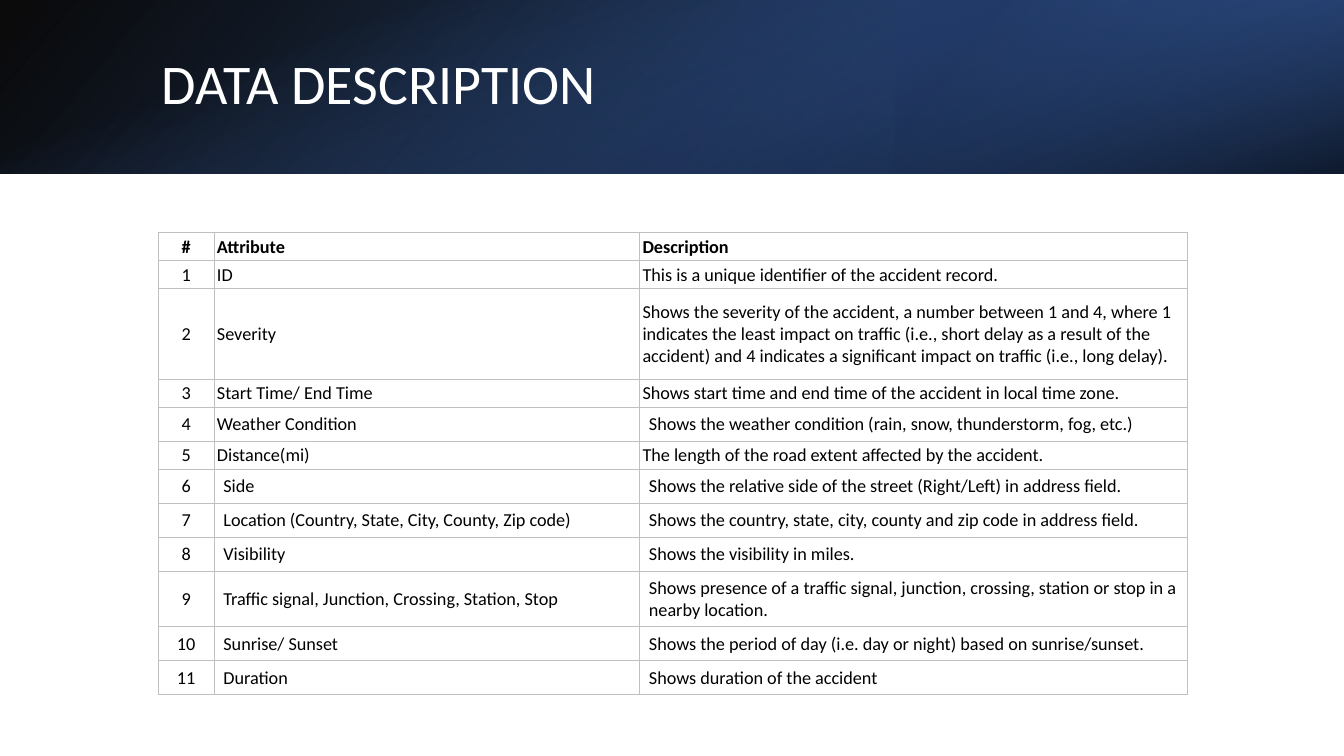
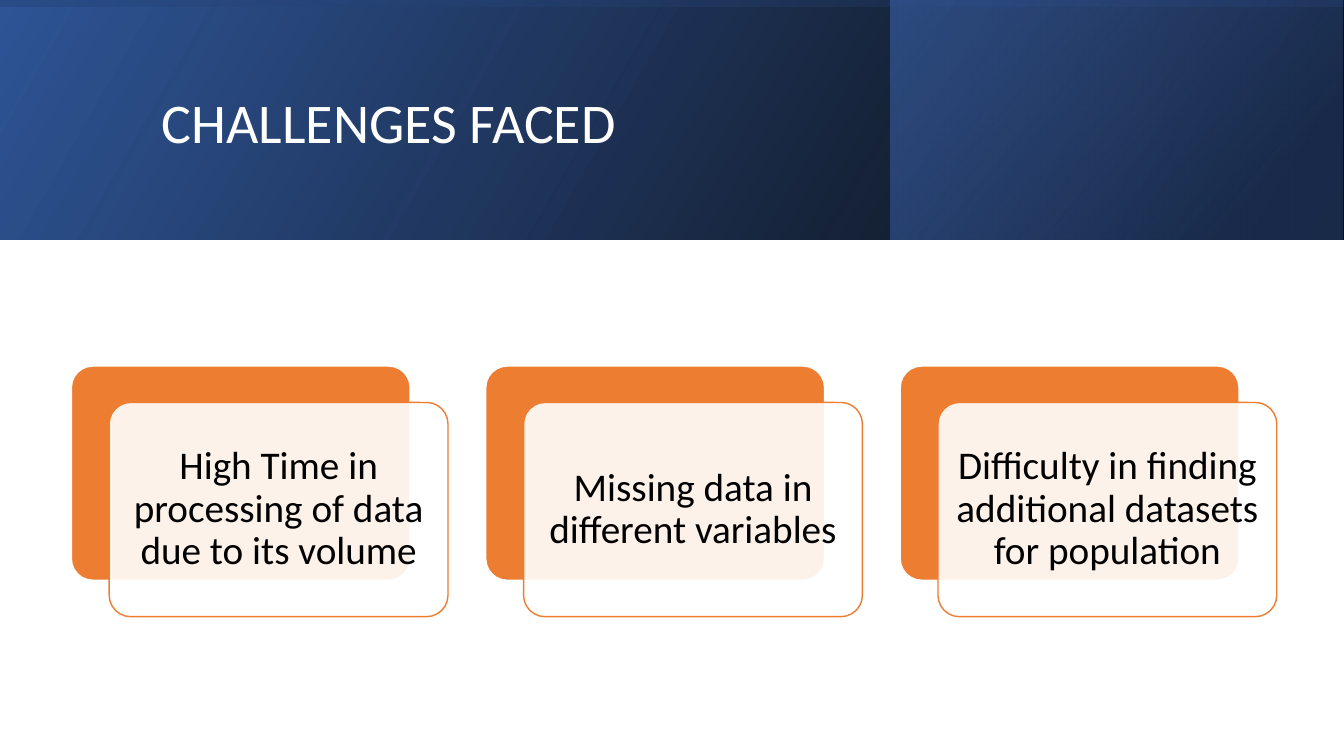
from lxml.etree import SubElement
from pptx import Presentation
from pptx.dml.color import RGBColor
from pptx.enum.shapes import MSO_SHAPE as Shape
from pptx.enum.text import MSO_ANCHOR as Anchor, PP_ALIGN as Align
from pptx.oxml import parse_xml
from pptx.oxml.ns import nsdecls, qn
from pptx.util import Pt

COLORS = {
    "white": "FFFFFF",
    "black": "000000",
    "navy": "203864",
    "deep blue": "2F5597",
    "blue": "4472C4",
    "orange": "ED7D31",
    "grid": "BDC1C4",
}
FONT = "Calibri"
SLIDE_WIDTH, SLIDE_HEIGHT = 960, 540

TABLE_LEFT, TABLE_TOP = 113, 166.3
COLUMN_WIDTHS = [40, 304, 391.5]
LOW, MEDIUM, TWO_LINES, THREE_LINES = 20, 24.3, 39.3, 65
TIGHT, LOOSE = (2, 0.7), (6.6, 3.4)
FIRST_LOOSE_ROW = 6
LOOSE_CELLS = {(4, 2)}
ATTRIBUTES = [
    (LOW, "Attribute", "Description"),
    (LOW, "ID", "This is a unique identifier of the accident record."),
    (THREE_LINES, "Severity",
     "Shows the severity of the accident, a number between 1 and 4, where 1 indicates "
     "the least impact on traffic (i.e., short delay as a result of the accident) and "
     "4 indicates a significant impact on traffic (i.e., long delay)."),
    (LOW, "Start Time/ End Time",
     "Shows start time and end time of the accident in local time zone."),
    (MEDIUM, "Weather Condition",
     "Shows the weather condition (rain, snow, thunderstorm, fog, etc.)"),
    (LOW, "Distance(mi)", "The length of the road extent affected by the accident."),
    (MEDIUM, "Side", "Shows the relative side of the street (Right/Left) in address field."),
    (MEDIUM, "Location (Country, State, City, County, Zip code)",
     "Shows the country, state, city, county and zip code in address field."),
    (MEDIUM, "Visibility", "Shows the visibility in miles."),
    (TWO_LINES, "Traffic signal, Junction, Crossing, Station, Stop",
     "Shows presence of a traffic signal, junction, crossing, station or stop in a "
     "nearby location."),
    (MEDIUM, "Sunrise/ Sunset",
     "Shows the period of day (i.e. day or night) based on sunrise/sunset."),
    (MEDIUM, "Duration", "Shows duration of the accident"),
]

CARD_LEFT, CARD_TOP, CARD_PITCH = 51, 261.5, 296
CARD_WIDTH, CARD_HEIGHT = 242, 153
CARD_SHIFT = (27, 26)
CHALLENGES = [
    "High Time in processing of data due to its volume",
    "Missing data in different variables",
    "Difficulty in finding additional datasets for population",
]


def color(name):
    return RGBColor.from_string(COLORS[name])


def style_text(paragraph, size, color_name, bold=False):
    for run in paragraph.runs:
        run.font.name = FONT
        run.font.size = Pt(size)
        run.font.bold = bold
        run.font.color.rgb = color(color_name)


def add_panel(slide, kind, left, top, width, height):
    shape = slide.shapes.add_shape(kind, Pt(left), Pt(top), Pt(width), Pt(height))
    shape.shadow.inherit = False
    return shape


def add_gradient(slide, box, stops, angle, rotation=0, flipped=True):
    """Add a borderless rectangle; stops are (position, colour, opacity) in percent."""
    shape = add_panel(slide, Shape.RECTANGLE, *box)
    shape.line.fill.background()
    shape.rotation = rotation
    properties = shape.element.spPr
    if flipped:
        properties.find(qn("a:xfrm")).set("flipH", "1")
    stop_xml = "".join(
        f'<a:gs pos="{position * 1000}"><a:srgbClr val="{COLORS[name]}">'
        f'<a:alpha val="{opacity * 1000}"/></a:srgbClr></a:gs>'
        for position, name, opacity in stops)
    gradient = parse_xml(
        f'<a:gradFill {nsdecls("a")} rotWithShape="1"><a:gsLst>{stop_xml}</a:gsLst>'
        f'<a:lin ang="{angle * 60000}" scaled="0"/></a:gradFill>')
    shape.fill.background()
    properties.replace(properties.find(qn("a:noFill")), gradient)


def add_header(slide, height, base_angle, corner, overlay):
    """Layer the base, the corner patch and a turned overlay of the same extent."""
    add_gradient(slide, (0, 0, SLIDE_WIDTH, height),
                 [(0, "black", 96), (100, "deep blue", 100)], base_angle)
    add_gradient(slide, **corner)
    offset = (SLIDE_WIDTH - height) / 2
    add_gradient(slide, (offset, -offset, height, SLIDE_WIDTH), **overlay)


def add_title(slide, text, top, width, height):
    box = slide.shapes.add_textbox(Pt(108.5), Pt(top), Pt(width), Pt(height))
    frame = box.text_frame
    frame.word_wrap = True
    frame.vertical_anchor = Anchor.MIDDLE
    frame.text = text
    frame.paragraphs[0].line_spacing = 0.9
    style_text(frame.paragraphs[0], 40, "white")


def set_borders(cell):
    properties = cell._tc.get_or_add_tcPr()
    for index, side in enumerate("LRTB"):
        properties.insert(index, parse_xml(
            f'<a:ln{side} {nsdecls("a")} w="{Pt(0.75)}"><a:solidFill>'
            f'<a:srgbClr val="{COLORS["grid"]}"/></a:solidFill></a:ln{side}>'))


def fill_cell(cell, text, insets, centered, bold):
    cell.fill.solid()
    cell.fill.fore_color.rgb = color("white")
    set_borders(cell)
    cell.vertical_anchor = Anchor.MIDDLE
    cell.margin_left = cell.margin_right = Pt(insets[0])
    cell.margin_top = cell.margin_bottom = Pt(insets[1])
    cell.text_frame.text = text
    paragraph = cell.text_frame.paragraphs[0]
    paragraph.alignment = Align.CENTER if centered else Align.LEFT
    style_text(paragraph, 13, "black", bold)


def add_attribute_table(slide):
    heights = [height for height, *_ in ATTRIBUTES]
    table = slide.shapes.add_table(
        len(ATTRIBUTES), len(COLUMN_WIDTHS), Pt(TABLE_LEFT), Pt(TABLE_TOP),
        Pt(sum(COLUMN_WIDTHS)), Pt(sum(heights))).table
    table.first_row = table.horz_banding = False
    for column, width in zip(table.columns, COLUMN_WIDTHS):
        column.width = Pt(width)
    for row, (height, *texts) in enumerate(ATTRIBUTES):
        table.rows[row].height = Pt(height)
        for column, text in enumerate([str(row or "#"), *texts]):
            loose = row >= FIRST_LOOSE_ROW or (row, column) in LOOSE_CELLS
            fill_cell(table.cell(row, column), text, LOOSE if loose else TIGHT,
                      centered=column == 0, bold=row == 0)


def add_rounded(slide, left, top, fill_name, line_name):
    shape = add_panel(slide, Shape.ROUNDED_RECTANGLE, left, top, CARD_WIDTH, CARD_HEIGHT)
    shape.adjustments[0] = 0.1
    shape.fill.solid()
    shape.fill.fore_color.rgb = color(fill_name)
    shape.line.color.rgb = color(line_name)
    shape.line.width = Pt(1)
    return shape


def add_card(slide, left, text):
    add_rounded(slide, left, CARD_TOP, "orange", "white")
    card = add_rounded(slide, left + CARD_SHIFT[0], CARD_TOP + CARD_SHIFT[1],
                       "white", "orange")
    fill_color = card.element.spPr.find(qn("a:solidFill"))[0]
    SubElement(fill_color, qn("a:alpha")).set("val", "90000")
    frame = card.text_frame
    frame.word_wrap = True
    frame.vertical_anchor = Anchor.MIDDLE
    frame.margin_left = frame.margin_right = Pt(8.6)
    frame.margin_top = frame.margin_bottom = Pt(8.6)
    frame.text = text
    paragraph = frame.paragraphs[0]
    paragraph.alignment = Align.CENTER
    paragraph.line_spacing = 0.9
    style_text(paragraph, 28, "black")


def build_data_description(slide):
    height = 124
    add_header(
        slide, height, 140,
        corner=dict(box=(640, 0, 320, height), angle=320, rotation=180,
                    stops=[(19, "navy", 68), (100, "blue", 79)]),
        overlay=dict(stops=[(23, "blue", 0), (99, "black", 74)], angle=340,
                     rotation=90, flipped=False))
    add_title(slide, "DATA DESCRIPTION", 27.5, 790, 69)
    add_attribute_table(slide)


def build_challenges(slide):
    height = 171
    add_header(
        slide, height, 330,
        corner=dict(box=(636, 0, 323, height), angle=320,
                    stops=[(19, "navy", 68), (100, "blue", 48)]),
        overlay=dict(stops=[(23, "deep blue", 16), (99, "black", 45)], angle=350,
                     rotation=270))
    add_title(slide, "CHALLENGES FACED", 27.5, 765, 124)
    for index, text in enumerate(CHALLENGES):
        add_card(slide, CARD_LEFT + index * CARD_PITCH, text)


def main():
    presentation = Presentation()
    presentation.slide_width = Pt(SLIDE_WIDTH)
    presentation.slide_height = Pt(SLIDE_HEIGHT)
    blank = presentation.slide_layouts[6]
    for build in (build_data_description, build_challenges):
        build(presentation.slides.add_slide(blank))
    presentation.save("out.pptx")


if __name__ == "__main__":
    main()
